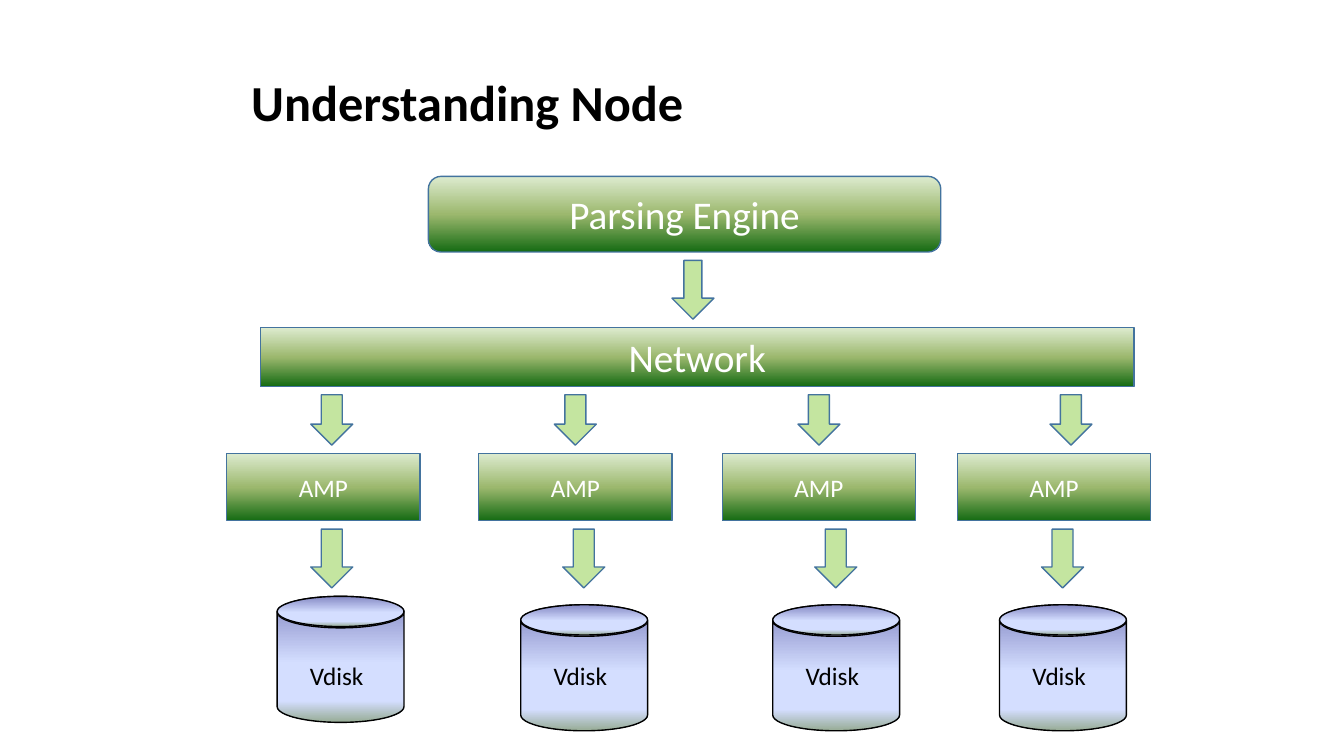
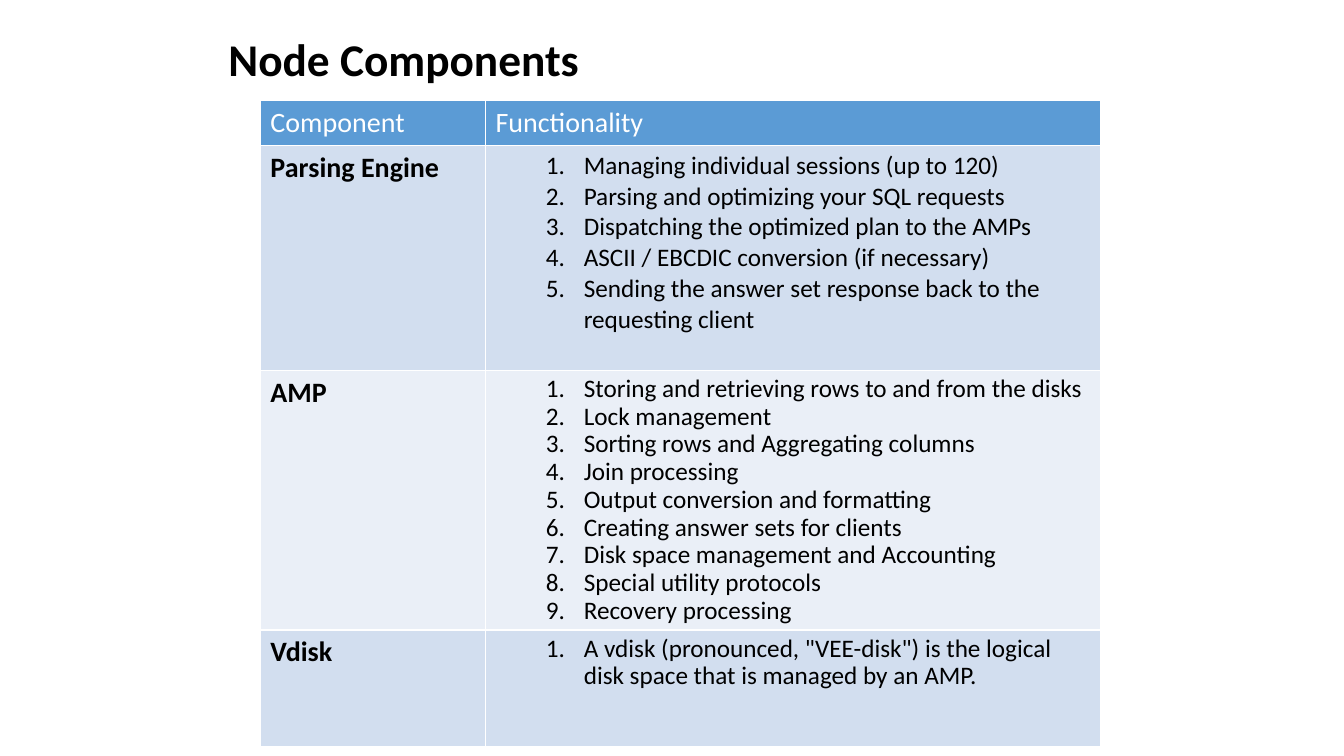
"""Build two slides on a database node: its structure and its components."""
from dataclasses import dataclass

from lxml import etree
from pptx import Presentation
from pptx.dml.color import RGBColor
from pptx.enum.shapes import MSO_SHAPE
from pptx.enum.text import MSO_ANCHOR, MSO_AUTO_SIZE, PP_ALIGN
from pptx.oxml.ns import qn
from pptx.util import Pt

ROUNDED, RECTANGLE = MSO_SHAPE.ROUNDED_RECTANGLE, MSO_SHAPE.RECTANGLE
ARROW, CAN, OVAL = MSO_SHAPE.DOWN_ARROW, MSO_SHAPE.CAN, MSO_SHAPE.OVAL
MIDDLE = MSO_ANCHOR.MIDDLE
FIXED = MSO_AUTO_SIZE.NONE
LEFT, CENTER = PP_ALIGN.LEFT, PP_ALIGN.CENTER
PX = 7620
TITLE_ONLY = 5


@dataclass(frozen=True)
class Theme:
    font: str = "Calibri"
    black: str = "000000"
    white: str = "FFFFFF"
    outline: str = "43739E"
    arrow: str = "92D050"
    arrow_opacity: int = 54
    green: tuple = ((0, "DDEBCF"), (50, "9CB86E"), (100, "156B13"))
    disk: tuple = ((0, "8488C4"), (53, "D4DEFF"), (83, "D4DEFF"), (100, "96AB94"))
    header: str = "5B9BD5"
    bands: tuple = ("D2DEEF", "EAEFF7")
    label: int = 28
    term: int = 20
    body: int = 18


THEME = Theme()


def style_text(para, size, color, bold=False):
    """Format every run of a paragraph."""
    for span in para.runs:
        span.font.name = THEME.font
        span.font.size = Pt(size)
        span.font.bold = bold
        span.font.color.rgb = RGBColor.from_string(color)


def add_figure(shapes, kind, left, top, width, height, fill, line, text="", size=THEME.body):
    """Add a preset shape with a gradient or a translucent fill."""
    figure = shapes.add_shape(kind, left * PX, top * PX, width * PX, height * PX)
    figure.shadow.inherit = False
    figure.line.color.rgb = RGBColor.from_string(line)
    figure.line.width = Pt(1)
    if isinstance(fill, tuple):
        figure.fill.gradient()
        figure.fill.gradient_angle = 270
        stops = figure._element.spPr.find(qn("a:gradFill")).find(qn("a:gsLst"))
        for stop in list(stops):
            stops.remove(stop)
        for position, color in fill:
            stop = etree.SubElement(stops, qn("a:gs"), pos=str(position * 1000))
            etree.SubElement(stop, qn("a:srgbClr"), val=color)
    else:
        figure.fill.solid()
        figure.fill.fore_color.rgb = RGBColor.from_string(fill)
        color = figure._element.spPr.find(qn("a:solidFill")).find(qn("a:srgbClr"))
        etree.SubElement(color, qn("a:alpha"), val=str(THEME.arrow_opacity * 1000))
    if text:
        figure.text_frame.text = text
        figure.text_frame.vertical_anchor = MIDDLE
        para = figure.text_frame.paragraphs[0]
        para.alignment = CENTER
        style_text(para, size, THEME.white)
    return figure


deck = Presentation()
deck.slide_width, deck.slide_height = 1600 * PX, 900 * PX

pages = []
for heading, top, height, inset, size in (
    ("Understanding Node", 50, 150, 39, 36),
    ("Node Components", 37, 74, 12, 32.4),
):
    page = deck.slides.add_slide(deck.slide_layouts[TITLE_ONLY])
    title = page.shapes.title
    title.left, title.top, title.width, title.height = 260 * PX, top * PX, 1080 * PX, height * PX
    frame = title.text_frame
    frame.text = heading
    frame.auto_size = FIXED
    frame.vertical_anchor = MIDDLE
    frame.margin_left = inset * PX
    para = frame.paragraphs[0]
    para.alignment = LEFT
    para.line_spacing = 0.9
    style_text(para, size, THEME.black, bold=True)
    pages.append(page)
diagram_page, table_page = pages

shapes = diagram_page.shapes
add_figure(shapes, ROUNDED, 510, 210, 610, 90, THEME.green, THEME.outline, "Parsing Engine", THEME.label)
add_figure(shapes, RECTANGLE, 310, 390, 1040, 70, THEME.green, THEME.outline, "Network", THEME.label)
engine_arrow = add_figure(shapes, ARROW, 800, 310, 50, 70, THEME.arrow, THEME.outline)
engine_arrow.adjustments[0] = 0.43

for amp_left, upper_left, lower_left, disk_left, disk_top in (
    (270, 370, 370, 330, 710),
    (570, 660, 670, 620, 720),
    (860, 950, 970, 920, 720),
    (1140, 1250, 1240, 1190, 720),
):
    add_figure(shapes, ARROW, upper_left, 470, 50, 60, THEME.arrow, THEME.outline)
    add_figure(shapes, RECTANGLE, amp_left, 540, 230, 80, THEME.green, THEME.outline, "AMP")
    add_figure(shapes, ARROW, lower_left, 630, 50, 70, THEME.arrow, THEME.outline)
    disk = shapes.add_group_shape().shapes
    for kind, height in ((CAN, 150), (OVAL, 36)):
        add_figure(disk, kind, disk_left, disk_top, 151, height, THEME.disk, THEME.black)
    box = shapes.add_textbox((disk_left + 20) * PX, 780 * PX, 120 * PX, 48 * PX)
    box.text_frame.word_wrap = True
    box.text_frame.margin_left = 19 * PX
    box.text_frame.text = "Vdisk"
    style_text(box.text_frame.paragraphs[0], THEME.body, THEME.black)

components = (
    ("Parsing Engine", 268, 1.0, (
        "Managing individual sessions (up to 120)",
        "Parsing and optimizing your SQL requests",
        "Dispatching the optimized plan to the AMPs",
        "ASCII / EBCDIC conversion (if necessary)",
        "Sending the answer set response back to the requesting client",
    )),
    ("AMP", 309, 0.9, (
        "Storing and retrieving rows to and from the disks",
        "Lock management",
        "Sorting rows and Aggregating columns",
        "Join processing",
        "Output conversion and formatting",
        "Creating answer sets for clients",
        "Disk space management and Accounting",
        "Special utility protocols",
        "Recovery processing",
    )),
    ("Vdisk", 139, 0.9, (
        'A vdisk (pronounced, "VEE-disk") is the logical disk space that is managed by an AMP.',
    )),
)
table = table_page.shapes.add_table(
    len(components) + 1, 2, 310 * PX, 120 * PX, 1000 * PX, 769 * PX
).table
table.columns[0].width, table.columns[1].width = 268 * PX, 732 * PX
table.rows[0].height = 53 * PX
for cell, text in zip(table.rows[0].cells, ("Component", "Functionality")):
    cell.text = text
    style_text(cell.text_frame.paragraphs[0], THEME.term, THEME.white)

for number, (name, height, spacing, duties) in enumerate(components, start=1):
    table.rows[number].height = height * PX
    name_cell, duty_cell = table.rows[number].cells
    name_cell.text = name
    style_text(name_cell.text_frame.paragraphs[0], THEME.term, THEME.black, bold=True)
    duty_cell.text = "\n".join(duties)
    for para in duty_cell.text_frame.paragraphs:
        para.level = 1
        para.line_spacing = spacing
        properties = para._p.get_or_add_pPr()
        properties.set("marL", str(105 * PX))
        properties.set("indent", str(-45 * PX))
        etree.SubElement(properties, qn("a:buFont"), typeface="+mj-lt")
        etree.SubElement(properties, qn("a:buAutoNum"), type="arabicPeriod")
        style_text(para, THEME.body, THEME.black)

for number, row in enumerate(table.rows):
    fill = THEME.bands[(number - 1) % 2] if number else THEME.header
    for cell in row.cells:
        properties = cell._tc.get_or_add_tcPr()
        for side in ("lnL", "lnR", "lnT", "lnB"):
            border = etree.SubElement(properties, qn(f"a:{side}"), w=str(Pt(1)))
            paint = etree.SubElement(border, qn("a:solidFill"))
            etree.SubElement(paint, qn("a:srgbClr"), val=THEME.white)
        cell.fill.solid()
        cell.fill.fore_color.rgb = RGBColor.from_string(fill)

deck.save("out.pptx")
